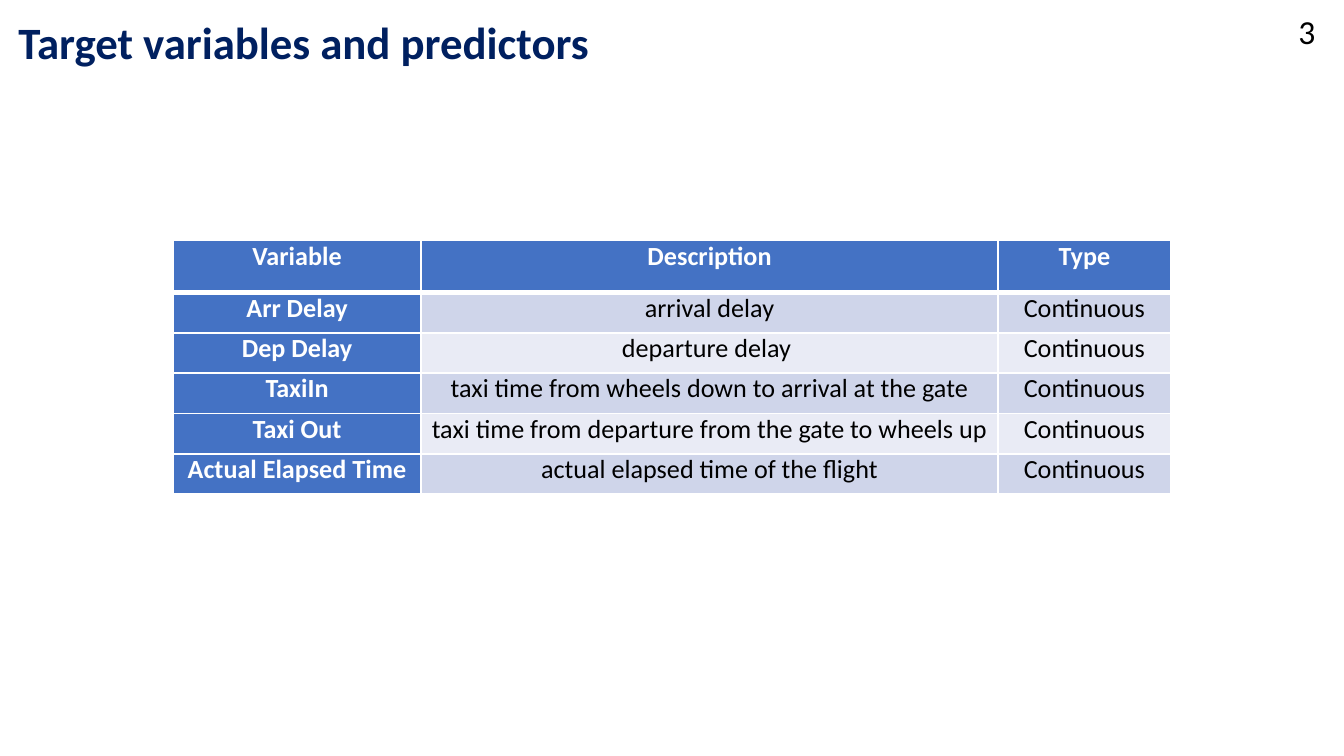
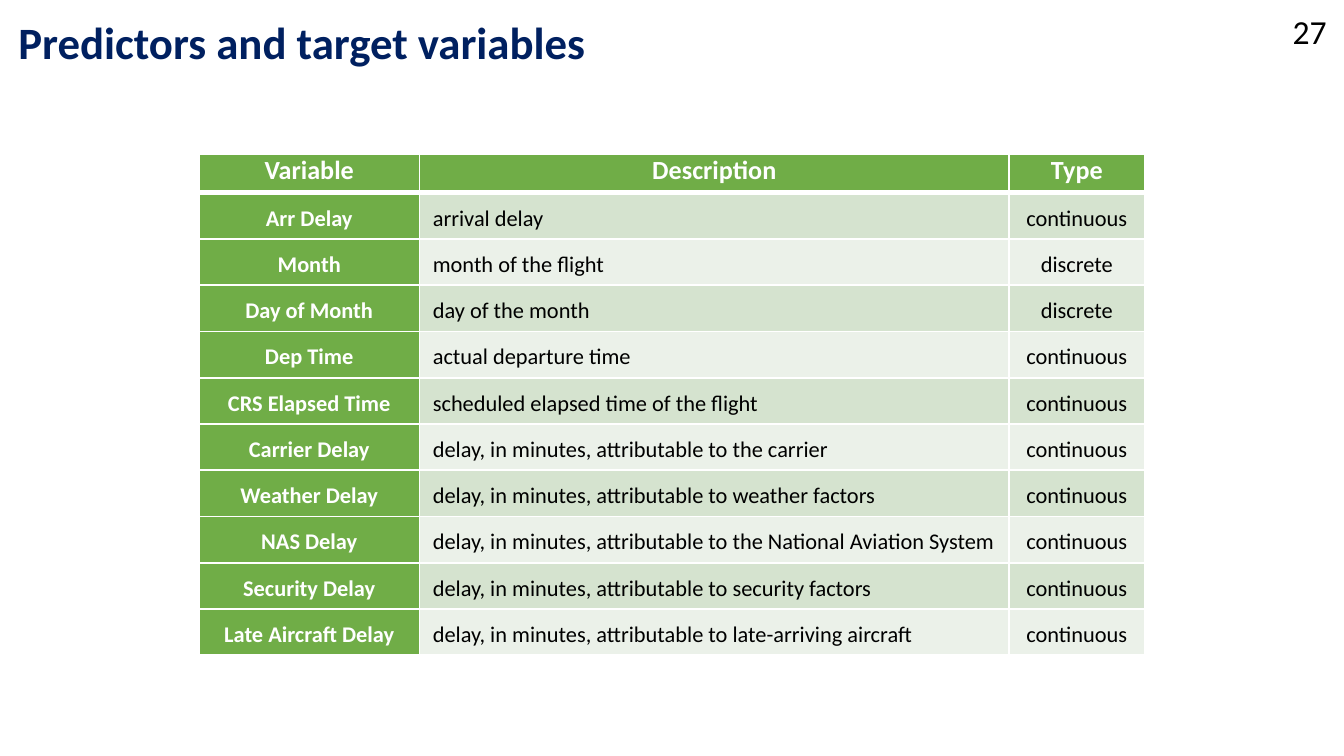
from pptx import Presentation
from pptx.dml.color import RGBColor
from pptx.enum.shapes import MSO_SHAPE
from pptx.enum.text import MSO_ANCHOR, MSO_AUTO_SIZE, PP_ALIGN
from pptx.oxml import parse_xml
from pptx.oxml.ns import nsdecls
from pptx.util import Pt

FONT, NAVY, WHITE, BLACK = "Calibri", "002060", "FFFFFF", "000000"
LEFT, MID = PP_ALIGN.LEFT, PP_ALIGN.CENTER
HEAD = ("Variable", "Description", "Type")
BLUE = ("4472C4", "CFD5EA", "E9EBF5")
GREEN = ("70AD47", "D5E3CF", "EBF1E9")

TARGETS = [
    ("Arr Delay", "arrival delay", "Continuous"),
    ("Dep Delay", "departure delay ", "Continuous"),
    ("TaxiIn", "taxi time from wheels down to arrival at the gate", "Continuous"),
    ("Taxi Out", "taxi time from departure from the gate to wheels up", "Continuous"),
    ("Actual Elapsed Time", "actual elapsed time of the flight", "Continuous"),
]
CAUSE = "delay, in minutes, attributable to "
FACTORS = [
    ("Arr Delay", "arrival delay", "continuous"),
    ("Month", "month of the flight", "discrete"),
    ("Day of Month", "day of the month", "discrete"),
    ("Dep Time", "actual departure time", "continuous"),
    ("CRS Elapsed Time", "scheduled elapsed time of the flight", "continuous"),
    ("Carrier Delay", CAUSE + "the carrier", "continuous"),
    ("Weather Delay", CAUSE + "weather factors", "continuous"),
    ("NAS Delay", CAUSE + "the National Aviation System", "continuous"),
    ("Security Delay", CAUSE + "security factors", "continuous"),
    ("Late Aircraft Delay", CAUSE + "late-arriving aircraft", "continuous"),
]


def color(code):
    """Turn a hex string into a colour."""
    return RGBColor.from_string(code)


def write(frame, words, size=14, ink=BLACK, bold=False, align=LEFT, lead=1.0):
    """Put one formatted paragraph into a text frame."""
    para = frame.paragraphs[0]
    para.alignment, para.line_spacing = align, lead
    para.space_before = Pt(0)
    run = para.add_run()
    run.text = words
    font = run.font
    font.name, font.size, font.bold = FONT, Pt(size), bold
    font.color.rgb = color(ink)


def begin(deck, title, page, left, width):
    """Add a slide with its title and page number."""
    slide = deck.slides.add_slide(deck.slide_layouts[5])
    head = slide.shapes.title
    head.left, head.top, head.width, head.height = Pt(2.6), Pt(8.4), Pt(497.5), Pt(32.4)
    frame = head.text_frame
    frame.auto_size = MSO_AUTO_SIZE.NONE
    frame.vertical_anchor = MSO_ANCHOR.BOTTOM
    write(frame, title, size=24, ink=NAVY, bold=True, lead=0.9)
    box = slide.shapes.add_textbox(Pt(left), Pt(2.4), Pt(width), Pt(29))
    box.text_frame.word_wrap = True
    write(box.text_frame, page, size=18)
    return slide


def panel(slide, left, top, width, height):
    """Add a plain white panel."""
    shape = slide.shapes.add_shape(MSO_SHAPE.RECTANGLE, Pt(left), Pt(top),
                                   Pt(width), Pt(height))
    shape.shadow.inherit = False
    shape.fill.solid()
    shape.fill.fore_color.rgb = shape.line.color.rgb = color(WHITE)
    shape.line.width = Pt(2)


def edge(cell, top, base):
    """Draw white borders round a cell."""
    props = cell._tc.get_or_add_tcPr()
    for side, wide in (("L", 1), ("R", 1), ("T", top), ("B", base)):
        props.append(parse_xml(
            f'<a:ln{side} {nsdecls("a")} w="{Pt(wide)}"><a:solidFill>'
            f'<a:srgbClr val="{WHITE}"/></a:solidFill></a:ln{side}>'))


def pad(cell, side, ends):
    """Set the inner margins of a cell."""
    cell.margin_left = cell.margin_right = Pt(side)
    cell.margin_top = cell.margin_bottom = Pt(ends)


def grid(slide, rows, tones, spot, cols, high, inset, mid=MID, **body):
    """Add a table with a header row, a label column and banded rows."""
    main, odd, even = tones
    first, rest = high
    tall = first + rest * len(rows)
    table = slide.shapes.add_table(len(rows) + 1, len(cols), Pt(spot[0]), Pt(spot[1]),
                                   Pt(sum(cols)), Pt(tall)).table
    for col, wide in zip(table.columns, cols):
        col.width = Pt(wide)
    for r, row in enumerate([HEAD, *rows]):
        table.rows[r].height = Pt(rest if r else first)
        for c, words in enumerate(row):
            cell = table.cell(r, c)
            key = r == 0 or c == 0
            edge(cell, 3 if r == 1 else 1, 1 if r else 3)
            cell.fill.solid()
            cell.fill.fore_color.rgb = color(main if key else odd if r % 2 else even)
            pad(cell, *(inset if r else (5, 0)))
            write(cell.text_frame, words, ink=WHITE if key else BLACK, bold=key,
                  align=mid if r and c == 1 else MID, **(body if r else {}))


def main():
    """Build both slides and save the deck."""
    deck = Presentation()
    deck.slide_width, deck.slide_height = Pt(720), Pt(405)
    slide = begin(deck, "Target variables and predictors", "3", 688.5, 31.5)
    grid(slide, TARGETS, BLUE, (92.7, 128.7), (133, 309, 92.6), (28, 21.6), (5, 0))
    slide = begin(deck, "Predictors and target variables", "27", 685.4, 35)
    panel(slide, 20.2, 320.4, 142.6, 72)
    grid(slide, FACTORS, GREEN, (106.7, 82.7), (118, 316, 72.5), (20.6, 24.8), (7.2, 3.6),
         size=12, lead=1.2, mid=LEFT)
    deck.save("out.pptx")


if __name__ == "__main__":
    main()
